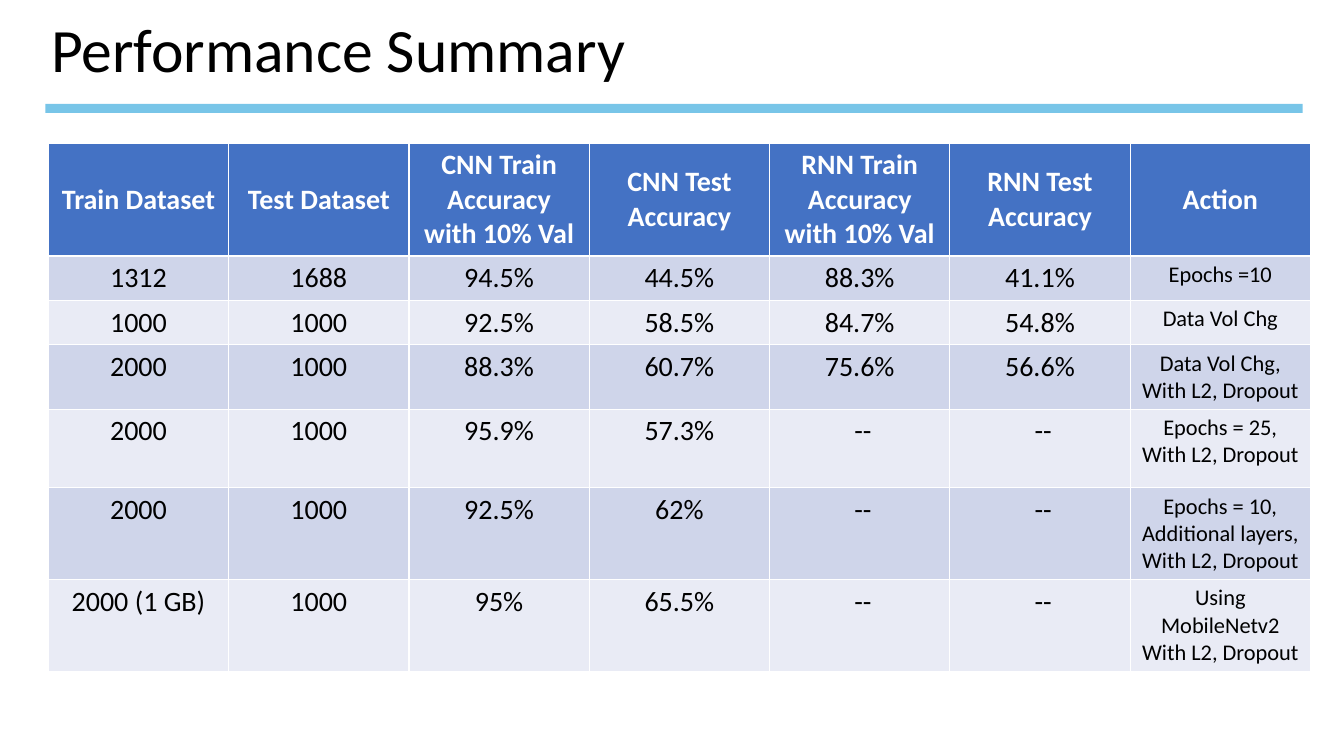
from pptx import Presentation
from pptx.dml.color import RGBColor
from pptx.enum.shapes import MSO_SHAPE
from pptx.enum.text import MSO_ANCHOR, PP_ALIGN
from pptx.util import Inches, Pt


def color(hex_value):
    return RGBColor.from_string(hex_value)


def write(text_frame, text, align, size, hex_value, bold=False):
    text_frame.text = text
    font_format = {"name": "Calibri", "size": Pt(size), "bold": bold}
    for paragraph in text_frame.paragraphs:
        paragraph.alignment = align
        for run in paragraph.runs:
            for attribute, value in font_format.items():
                setattr(run.font, attribute, value)
            run.font.color.rgb = color(hex_value)


presentation = Presentation()
presentation.slide_width = Inches(13.33)
presentation.slide_height = Inches(7.5)
slide = presentation.slides.add_slide(presentation.slide_layouts[6])

# Rule under the title
rule = slide.shapes.add_shape(
    MSO_SHAPE.RECTANGLE, Inches(0.45), Inches(1.03), Inches(12.47), Inches(0.09))
rule.shadow.inherit = False
rule.fill.solid()
rule.fill.fore_color.rgb = color("78C5E8")
rule.line.fill.background()

# Title
title = slide.shapes.add_textbox(
    Inches(0.41), Inches(0.09), Inches(11.5), Inches(0.86)).text_frame
title.word_wrap = True
title.vertical_anchor = MSO_ANCHOR.MIDDLE
write(title, "Performance Summary", PP_ALIGN.LEFT, 44, "000000")
title.paragraphs[0].line_spacing = 0.9

# Results table: the default style supplies the white borders
results = [
    ["Train Dataset", "Test Dataset", "CNN Train Accuracy with 10% Val", "CNN Test Accuracy",
     "RNN Train Accuracy with 10% Val", "RNN Test Accuracy", "Action"],
    ["1312", "1688", "94.5%", "44.5%", "88.3%", "41.1%", "Epochs =10"],
    ["1000", "1000", "92.5%", "58.5%", "84.7%", "54.8%", "Data Vol Chg"],
    ["2000", "1000", "88.3%", "60.7%", "75.6%", "56.6%", "Data Vol Chg,\nWith L2, Dropout"],
    ["2000", "1000", "95.9%", "57.3%", " --", " --", "Epochs = 25,\nWith L2, Dropout"],
    ["2000", "1000", "92.5%", "62%", " --", " --",
     "Epochs = 10,\nAdditional layers,\nWith L2, Dropout"],
    ["2000 (1 GB)", "1000", "95%", "65.5%", " --", " --",
     "Using MobileNetv2\nWith L2, Dropout"],
]
row_heights = [1.12, 0.44, 0.44, 0.64, 0.78, 0.91, 0.91]
action_column = len(results[0]) - 1

table = slide.shapes.add_table(
    len(results), len(results[0]), Inches(0.48), Inches(1.42),
    Inches(12.52), Inches(sum(row_heights))).table

for row_index, (values, height) in enumerate(zip(results, row_heights)):
    table.rows[row_index].height = Inches(height)
    header = row_index == 0
    band = "4472C4" if header else ("E9EBF5", "CFD5EA")[row_index % 2]
    for column_index, value in enumerate(values):
        cell = table.cell(row_index, column_index)
        cell.fill.solid()
        cell.fill.fore_color.rgb = color(band)
        cell.vertical_anchor = MSO_ANCHOR.MIDDLE if header else MSO_ANCHOR.TOP
        size = 16 if column_index == action_column and not header else 20
        write(cell.text_frame, value, PP_ALIGN.CENTER, size,
              "FFFFFF" if header else "000000", header)

presentation.save("out.pptx")
